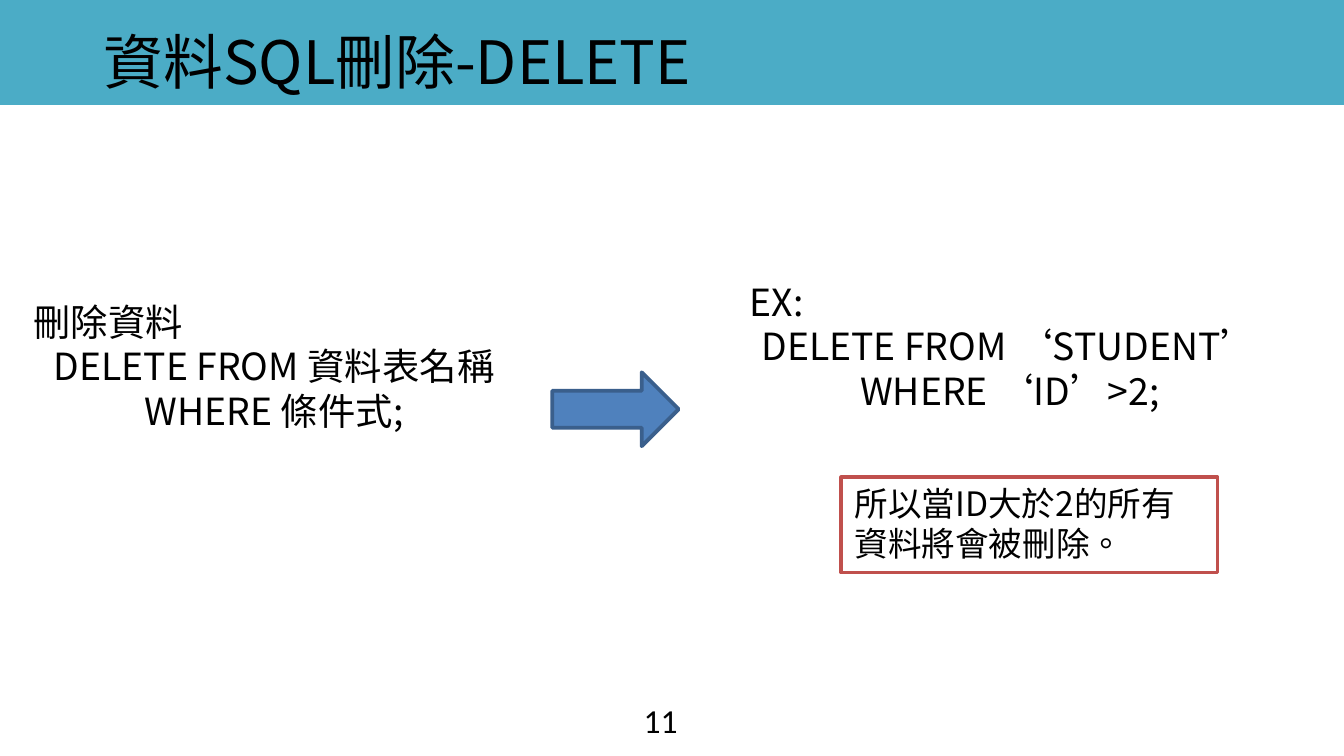
import pptx
import pptx.dml.color
import pptx.enum.shapes
import pptx.enum.text
import pptx.util
from lxml import etree
from pptx.oxml.ns import qn

BLACK = pptx.dml.color.RGBColor(0x00, 0x00, 0x00)
WHITE = pptx.dml.color.RGBColor(0xFF, 0xFF, 0xFF)
TEAL = pptx.dml.color.RGBColor(0x4B, 0xAC, 0xC6)
BLUE = pptx.dml.color.RGBColor(0x4F, 0x81, 0xBD)
DARK_BLUE = pptx.dml.color.RGBColor(0x3A, 0x5F, 0x8C)
RED = pptx.dml.color.RGBColor(0xC0, 0x50, 0x4D)

CJK_FONT = "Noto Sans CJK SC"
LINE_HEIGHT = 1.19
WIDTH = 10
HEIGHT = WIDTH * 9 / 16
BAR_HEIGHT = 0.78

LEFT = pptx.enum.text.PP_ALIGN.LEFT
CENTER = pptx.enum.text.PP_ALIGN.CENTER
SHAPES = pptx.enum.shapes.MSO_SHAPE


def inches(*lengths):
    return [pptx.util.Inches(length) for length in lengths]


def write(shape, lines, size, font=CJK_FONT, align=LEFT):
    """Fill a shape with lines; the first is left-aligned, the rest use align."""
    frame = shape.text_frame
    frame.word_wrap = True
    frame.auto_size = pptx.enum.text.MSO_AUTO_SIZE.NONE
    frame.vertical_anchor = pptx.enum.text.MSO_ANCHOR.TOP
    frame.text = "\n".join(lines)
    for number, paragraph in enumerate(frame.paragraphs):
        paragraph.alignment = align if number else LEFT
        paragraph.line_spacing = pptx.util.Pt(size * LINE_HEIGHT)
        for run in paragraph.runs:
            run.font.size = pptx.util.Pt(size)
            run.font.name = font
            run.font.color.rgb = BLACK
            properties = run.font._element
            properties.set("lang", "zh-TW")
            east_asian = etree.SubElement(properties, qn("a:ea"))
            east_asian.set("typeface", font)


def add_text(slide, box, lines, size, **text_format):
    write(slide.shapes.add_textbox(*inches(*box)), lines, size, **text_format)


def add_block(slide, preset, box, fill, outline=None):
    block = slide.shapes.add_shape(preset, *inches(*box))
    block.shadow.inherit = False
    block.fill.solid()
    block.fill.fore_color.rgb = fill
    if outline is None:
        block.line.fill.background()
    else:
        block.line.color.rgb = outline
        block.line.width = pptx.util.Pt(2)
    return block


def add_header(slide, text):
    bar = add_block(slide, SHAPES.RECTANGLE, (0, 0, WIDTH, BAR_HEIGHT), TEAL)
    title = slide.shapes.title
    bar._element.addnext(title._element)
    title.left, title.top, title.width, title.height = inches(
        0.67, 0.14, 4.92, BAR_HEIGHT - 0.14)
    write(title, [text], 32)


def main():
    deck = pptx.Presentation()
    deck.slide_width, deck.slide_height = inches(WIDTH, HEIGHT)
    slide = deck.slides.add_slide(deck.slide_layouts[5])

    add_header(slide, "資料SQL刪除-DELETE")
    add_text(slide, (0.15, 2.18, 3.78, 1.35),
             ["刪除資料", "DELETE FROM 資料表名稱", "WHERE 條件式;"],
             20, align=CENTER)
    add_text(slide, (4.69, 5.16, 0.63, 0.4), ["11"], 18, font="Calibri")
    add_block(slide, SHAPES.RIGHT_ARROW, (4.11, 2.77, 0.94, 0.55), BLUE, DARK_BLUE)
    add_text(slide, (5.48, 2.03, 4.07, 1.65),
             ["EX:", "DELETE FROM ‘STUDENT’", "WHERE ‘ID’>2;"],
             20, align=CENTER)
    result = add_block(slide, SHAPES.RECTANGLE, (6.26, 3.55, 2.8, 0.71), WHITE, RED)
    write(result, ["所以當ID大於2的所有資料將會被刪除。"], 18)

    deck.save("out.pptx")


if __name__ == "__main__":
    main()
